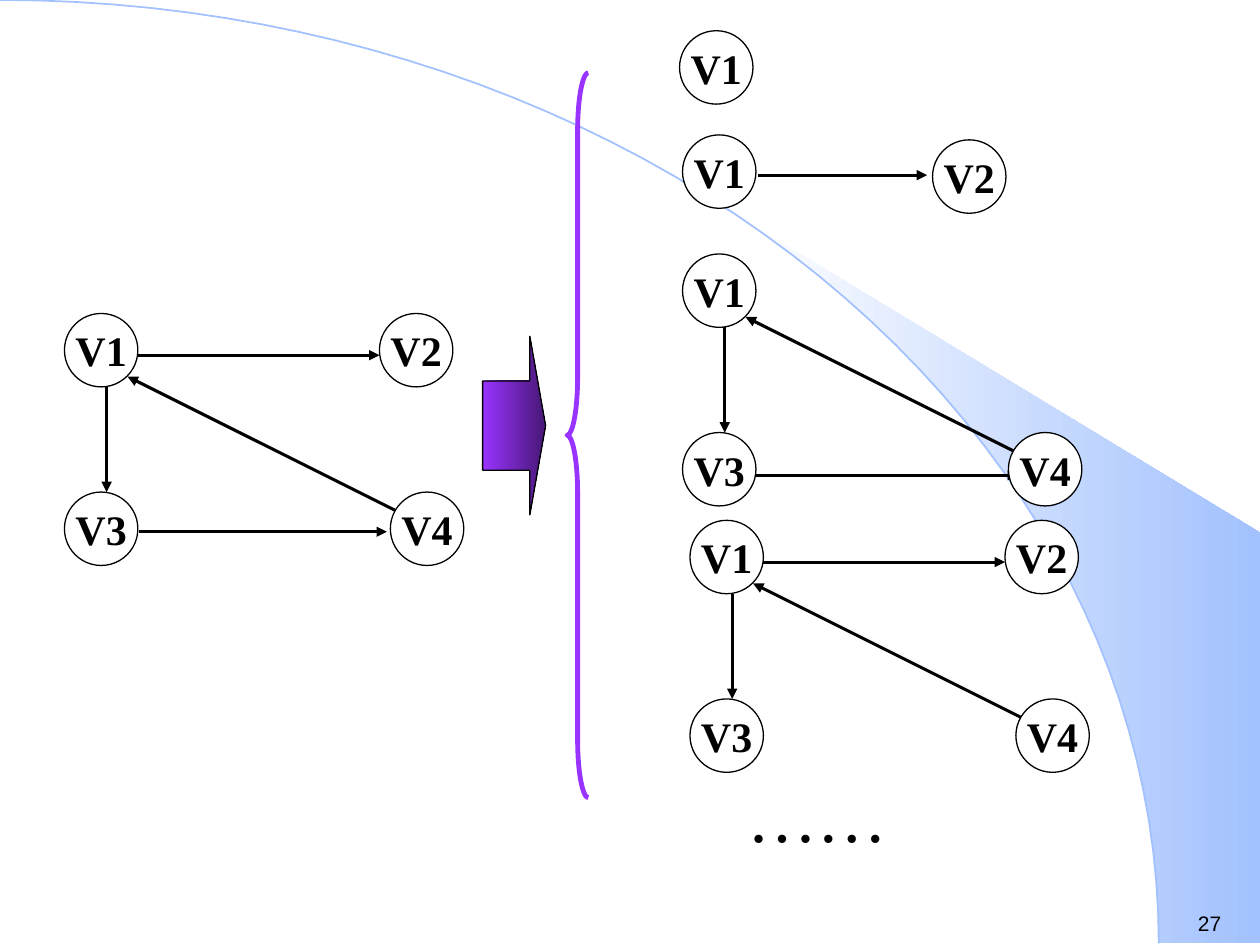
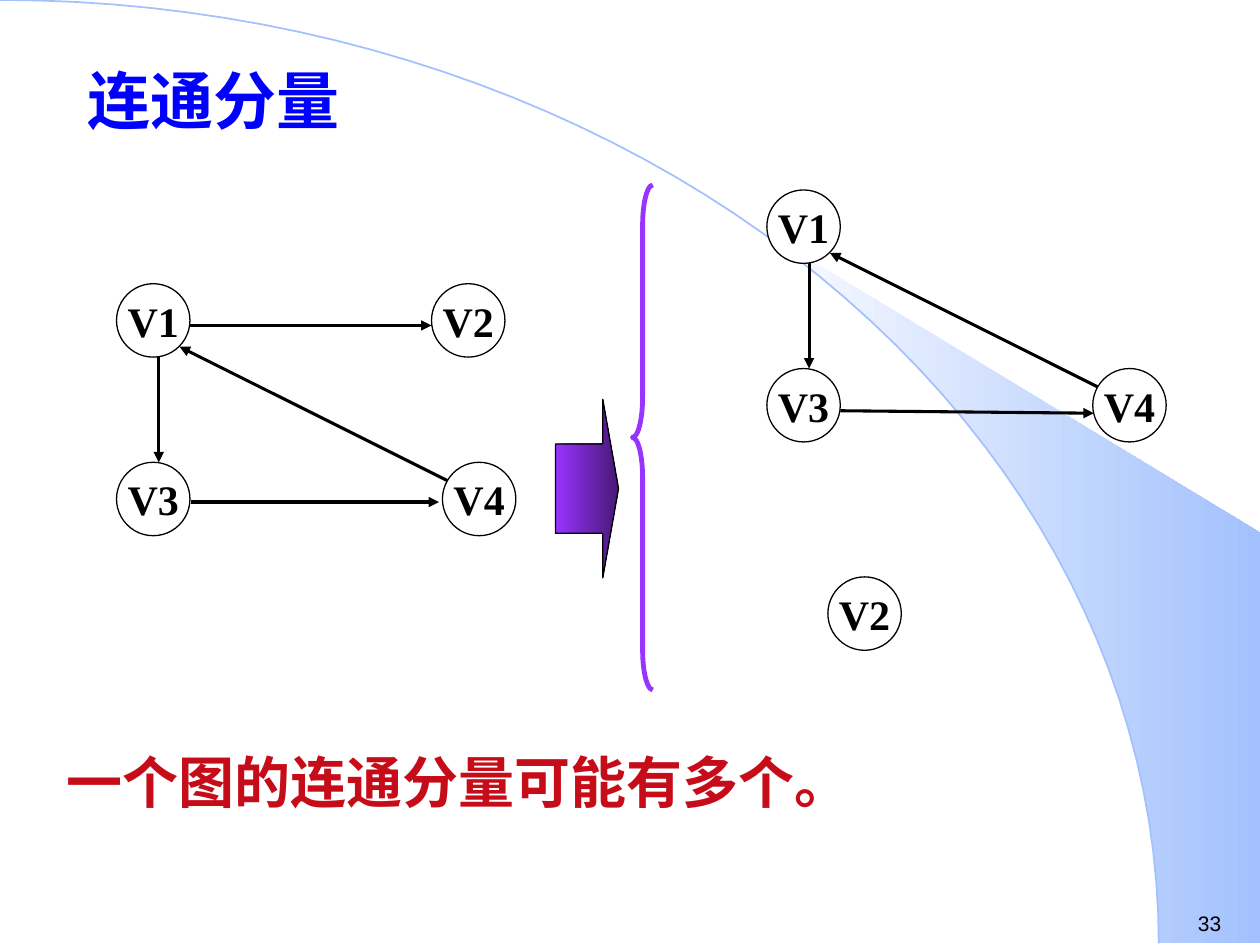
"""Builds two slides that split a directed graph into subgraphs and connected components."""
from dataclasses import dataclass
from math import asin, cos, pi, sin

from lxml.etree import SubElement
from pptx import Presentation
from pptx.dml.color import RGBColor as Rgb
from pptx.enum.shapes import MSO_CONNECTOR as Link, MSO_SHAPE as Shape
from pptx.enum.text import MSO_ANCHOR as Anchor, MSO_AUTO_SIZE as AutoSize, PP_ALIGN as Align
from pptx.oxml.ns import qn
from pptx.util import Cm, Pt


@dataclass(frozen=True)
class Theme:
    ink: Rgb = Rgb(0x00, 0x00, 0x00)
    paper: Rgb = Rgb(0xFF, 0xFF, 0xFF)
    sky: Rgb = Rgb(0xA2, 0xC1, 0xFE)
    violet: Rgb = Rgb(0x99, 0x33, 0xFF)
    plum: Rgb = Rgb(0x47, 0x18, 0x76)
    heading: Rgb = Rgb(0x00, 0x00, 0xFF)
    remark: Rgb = Rgb(0xC6, 0x0C, 0x19)
    serif: str = "Times New Roman"
    sans: str = "Arial"
    heading_size: int = 36
    remark_size: int = 32
    dots_size: int = 40
    vertex_size: int = 24
    number_size: int = 12
    outline: float = 0.75
    arc_line: float = 1
    edge_line: float = 1.75
    brace_line: float = 2.75


WIDTH, HEIGHT = 25.4, 19.05
ARC_WIDTH, ARC_HEIGHT = 23.36, 19.02
WEDGE_START, WEDGE_SIDE = 14.96, 10.74
DIAMETER = 1.48
VERTICES = {"V1": (0, 0), "V2": (6.35, 0), "V3": (0, 3.6), "V4": (6.57, 3.6)}
EDGES = {
    ("V1", "V3"): ((0.85, 1.48), (0.85, 3.6)),
    ("V1", "V2"): ((1.48, 0.84), (6.35, 0.84)),
    ("V3", "V4"): ((1.5, 4.4), (6.5, 4.4)),
    ("V4", "V1"): ((6.77, 4.02), (1.27, 1.27)),
}


class Deck:
    def __init__(self, theme):
        self.theme = theme
        self.presentation = Presentation()
        self.presentation.slide_width = Cm(WIDTH)
        self.presentation.slide_height = Cm(HEIGHT)
        self.slide = None

    def new_slide(self, layout, number):
        self.slide = self.presentation.slides.add_slide(self.presentation.slide_layouts[layout])
        wedge = self.outline(self.arc(asin(WEDGE_START / ARC_WIDTH))
                             + [(WIDTH, ARC_HEIGHT), (WIDTH, WEDGE_SIDE)], True)
        self.shade(wedge, self.theme.paper, self.theme.sky)
        wedge.line.fill.background()
        sweep = self.outline(self.arc(0), False)
        sweep.fill.background()
        self.stroke(sweep, self.theme.sky, self.theme.arc_line)
        self.text(str(number), 23.9, 18.24, 1.5, 0.76, self.theme.number_size,
                  self.theme.ink, self.theme.sans, False)

    def arc(self, start, steps=48):
        angles = [start + (pi / 2 - start) * step / steps for step in range(steps + 1)]
        return [(ARC_WIDTH * sin(angle), ARC_HEIGHT * (1 - cos(angle))) for angle in angles]

    def outline(self, points, closed):
        corners = [(Cm(x), Cm(y)) for x, y in points]
        builder = self.slide.shapes.build_freeform(*corners[0])
        builder.add_line_segments(corners[1:], close=closed)
        shape = builder.convert_to_shape()
        shape.shadow.inherit = False
        return shape

    def preset(self, kind, x, y, width, height):
        shape = self.slide.shapes.add_shape(kind, Cm(x), Cm(y), Cm(width), Cm(height))
        shape.shadow.inherit = False
        return shape

    def shade(self, shape, first, last):
        shape.fill.gradient()
        shape.fill.gradient_angle = 0
        for stop, colour in zip(shape.fill.gradient_stops, (first, last)):
            stop.color.rgb = colour

    def stroke(self, shape, colour, width):
        shape.line.color.rgb = colour
        shape.line.width = Pt(width)

    def letter(self, frame, words, size, colour, family, bold, align=Align.LEFT):
        frame.text = words
        paragraph = frame.paragraphs[0]
        paragraph.alignment = align
        font = paragraph.runs[0].font
        font.name, font.size, font.bold = family, Pt(size), bold
        font.color.rgb = colour

    def text(self, words, x, y, width, height, size, colour, family, bold):
        box = self.slide.shapes.add_textbox(Cm(x), Cm(y), Cm(width), Cm(height))
        box.text_frame.word_wrap = True
        self.letter(box.text_frame, words, size, colour, family, bold)

    def title(self, words, x, y, width, height):
        heading = self.slide.shapes.title
        heading.left, heading.top = Cm(x), Cm(y)
        heading.width, heading.height = Cm(width), Cm(height)
        heading.text_frame.auto_size = AutoSize.NONE
        heading.text_frame.vertical_anchor = Anchor.TOP
        self.letter(heading.text_frame, words, self.theme.heading_size,
                    self.theme.heading, self.theme.serif, True)

    def vertex(self, name, x, y):
        circle = self.preset(Shape.FLOWCHART_CONNECTOR, x, y, DIAMETER, DIAMETER)
        circle.fill.solid()
        circle.fill.fore_color.rgb = self.theme.paper
        self.stroke(circle, self.theme.ink, self.theme.outline)
        circle.text_frame.word_wrap = False
        circle.text_frame.vertical_anchor = Anchor.MIDDLE
        self.letter(circle.text_frame, name, self.theme.vertex_size, self.theme.ink,
                    self.theme.serif, True, Align.CENTER)

    def edge(self, start, end):
        ends = [Cm(length) for length in (*start, *end)]
        arrow = self.slide.shapes.add_connector(Link.STRAIGHT, *ends)
        self.stroke(arrow, self.theme.ink, self.theme.edge_line)
        properties = arrow._element.spPr
        SubElement(properties.find(qn("a:ln")), qn("a:tailEnd"), type="triangle")
        SubElement(properties, qn("a:effectLst"))

    def graph(self, x, y, names=tuple(VERTICES), missing=(), moved=None):
        for pair, ends in (EDGES | (moved or {})).items():
            if set(pair) <= set(names) and pair not in missing:
                self.edge(*[(x + dx, y + dy) for dx, dy in ends])
        for name in names:
            dx, dy = VERTICES[name]
            self.vertex(name, x + dx, y + dy)

    def brace(self, x, y, width, height):
        brace = self.preset(Shape.LEFT_BRACE, x, y, width, height)
        brace.adjustments[0] = 0.08 * height / width
        brace.fill.background()
        self.stroke(brace, self.theme.violet, self.theme.brace_line)

    def block_arrow(self, x, y):
        arrow = self.preset(Shape.RIGHT_ARROW, x, y, 1.27, 3.6)
        arrow.adjustments[0], arrow.adjustments[1] = 0.5, 0.25
        self.shade(arrow, self.theme.violet, self.theme.plum)
        self.stroke(arrow, self.theme.ink, self.theme.outline)


def subgraphs(deck):
    theme = deck.theme
    deck.new_slide(6, 27)
    deck.graph(1.3, 6.32)
    deck.vertex("V1", 13.7, 0.62)
    deck.edge((15.29, 3.53), (18.69, 3.53))
    deck.vertex("V1", 13.76, 2.72)
    deck.vertex("V2", 18.8, 2.82)
    deck.graph(13.76, 5.12, ("V1", "V3", "V4"),
               moved={("V3", "V4"): ((1.48, 4.46), (6.76, 4.46))})
    deck.graph(13.91, 10.49, missing=[("V3", "V4")])
    deck.brace(11.43, 1.47, 0.43, 14.61)
    deck.block_arrow(9.73, 6.78)
    deck.text("……", 14.81, 15.44, 5.72, 1.96, theme.dots_size, theme.ink, theme.serif, False)


def components(deck):
    theme = deck.theme
    deck.new_slide(5, 33)
    deck.title("连通分量", 1.5, 1.12, 8.05, 1.78)
    deck.graph(2.35, 5.72)
    deck.graph(15.46, 3.83, ("V1", "V3", "V4"),
               moved={("V3", "V4"): ((1.48, 4.45), (6.59, 4.5))})
    deck.vertex("V2", 16.69, 11.63)
    deck.block_arrow(11.2, 8.05)
    deck.brace(12.75, 3.73, 0.41, 10.18)
    deck.text("一个图的连通分量可能有多个。", 1.09, 14.94, 21.41, 1.63,
              theme.remark_size, theme.remark, theme.serif, True)


def main():
    deck = Deck(Theme())
    subgraphs(deck)
    components(deck)
    deck.presentation.save("out.pptx")


if __name__ == "__main__":
    main()
